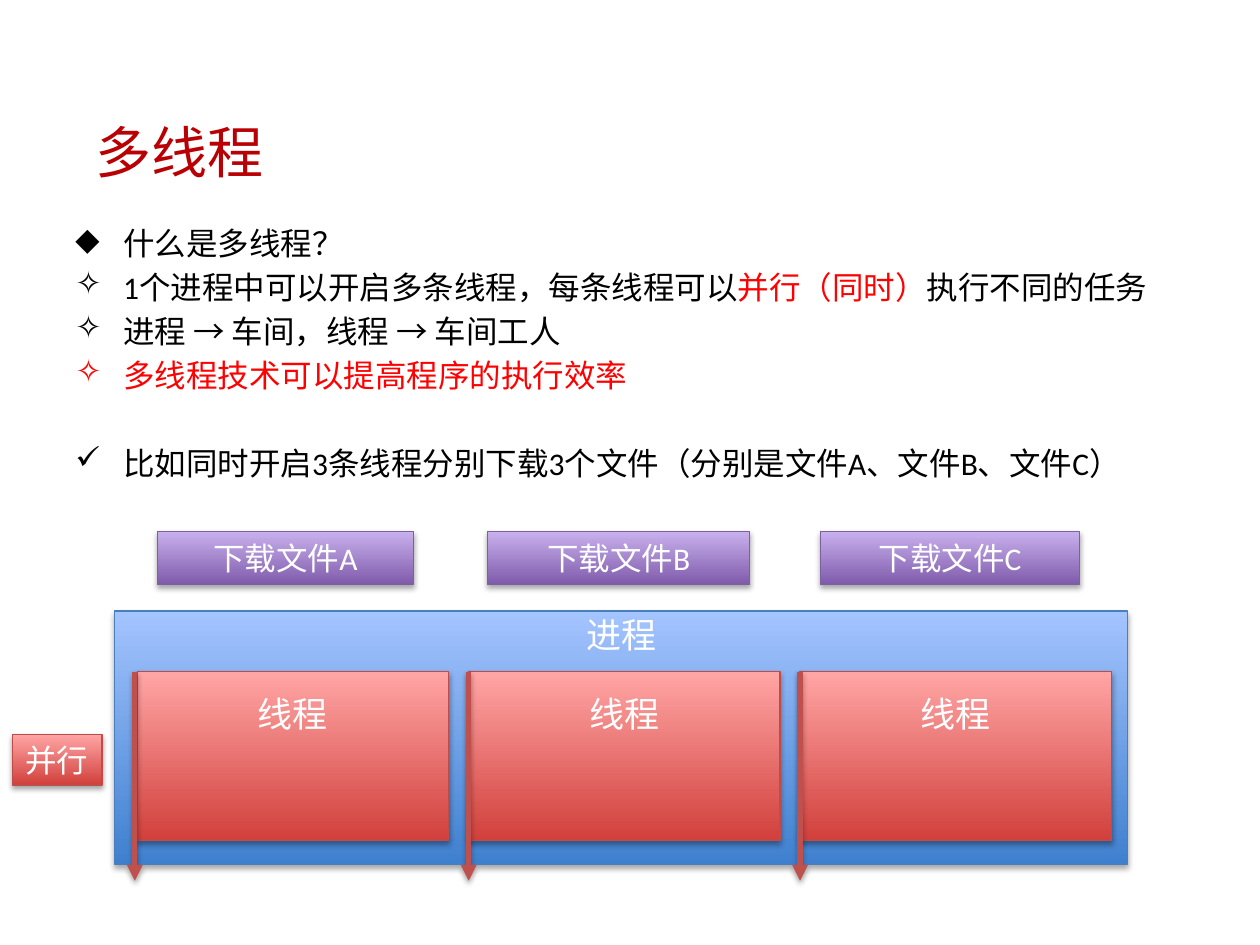
from dataclasses import dataclass

from lxml import etree
from pptx import Presentation
from pptx.dml.color import RGBColor
from pptx.enum.shapes import MSO_CONNECTOR, MSO_SHAPE
from pptx.enum.text import MSO_ANCHOR, MSO_AUTO_SIZE, PP_ALIGN
from pptx.oxml.ns import qn
from pptx.util import Inches, Pt

RECTANGLE = MSO_SHAPE.RECTANGLE
STRAIGHT = MSO_CONNECTOR.STRAIGHT
TOP, MIDDLE = MSO_ANCHOR.TOP, MSO_ANCHOR.MIDDLE
LEFT, CENTER = PP_ALIGN.LEFT, PP_ALIGN.CENTER
FIT_SHAPE = MSO_AUTO_SIZE.SHAPE_TO_FIT_TEXT


@dataclass(frozen=True)
class Theme:
    font: str = "Calibri"
    title_size: int = 32
    block_size: int = 20
    body_size: int = 18
    title: str = "B90004"
    text: str = "000000"
    accent: str = "FF0000"
    light: str = "FFFFFF"
    arrow: str = "C0504D"
    # Block palettes: bottom colour, top colour, outline
    blue: tuple = ("3F80CE", "A4C4FF", "4B7EBC")
    red: tuple = ("D1403C", "FFA6A5", "BF4C48")
    purple: tuple = ("7F5BAB", "C8B0ED", "7D60A0")


THEME = Theme()

# Bullet, space before in points, runs as (text, colour)
BODY = [
    ("◆", 3.5, [("什么是多线程？", THEME.text)]),
    ("✧", 3.5, [("1个进程中可以开启多条线程，每条线程可以", THEME.text),
                ("并行（同时）", THEME.accent),
                ("执行不同的任务", THEME.text)]),
    ("✧", 3.5, [("进程 → 车间，线程 → 车间工人", THEME.text)]),
    ("✧", 3.5, [("多线程技术可以提高程序的执行效率", THEME.accent)]),
    ("✓", 28.6, [("比如同时开启3条线程分别下载3个文件（分别是文件A、文件B、文件C）",
                  THEME.text)]),
]

# File, left and width of its label, left of its arrow
LANES = [("A", 1.25, 2.03, 1.07), ("B", 3.87, 2.08, 3.72), ("C", 6.51, 2.06, 6.35)]
THREAD_LEFT, THREAD_STEP, THREAD_TOP = 1.09, 2.63, 5.33


def add_run(para, text, size, color):
    span = para.add_run()
    span.text = text
    span.font.name = THEME.font
    span.font.size = Pt(size)
    span.font.color.rgb = RGBColor.from_string(color)


def add_shadow(properties):
    """Put a soft downward shadow on shape properties that have their line set."""
    effects = properties.find(qn("a:effectLst"))
    if effects is None:
        effects = etree.SubElement(properties, qn("a:effectLst"))
    shadow = etree.SubElement(effects, qn("a:outerShdw"), blurRad=str(Pt(3.1)),
                              dist=str(Pt(1.8)), dir="5400000", rotWithShape="0")
    color = etree.SubElement(shadow, qn("a:srgbClr"), val="000000")
    etree.SubElement(color, qn("a:alpha"), val="35000")


def add_title(page, text):
    box = page.shapes.add_textbox(Inches(0.66), Inches(0.88), Inches(1.55), Inches(0.64))
    box.text_frame.word_wrap = False
    box.text_frame.auto_size = FIT_SHAPE
    add_run(box.text_frame.paragraphs[0], text, THEME.title_size, THEME.title)


def set_bullet(para, symbol):
    properties = para._p.get_or_add_pPr()
    properties.set("marL", str(Inches(0.38)))
    properties.set("indent", str(Inches(-0.38)))
    etree.SubElement(properties, qn("a:buChar"), char=symbol)


def add_body(page, items):
    box = page.shapes.add_textbox(Inches(0.5), Inches(1.73), Inches(9), Inches(5.09))
    frame = box.text_frame
    frame.word_wrap = True
    for index, (symbol, gap, runs) in enumerate(items):
        para = frame.add_paragraph() if index else frame.paragraphs[0]
        para.space_before = Pt(gap)
        set_bullet(para, symbol)
        for text, color in runs:
            add_run(para, text, THEME.body_size, color)


def add_block(page, text, left, top, width, height, palette,
              size=THEME.body_size, text_top=None, align=CENTER):
    """Add a shaded block; text_top pins the text that far below its top edge."""
    bottom_color, top_color, outline = map(RGBColor.from_string, palette)
    block = page.shapes.add_shape(RECTANGLE, Inches(left), Inches(top),
                                  Inches(width), Inches(height))
    block.fill.gradient()
    block.fill.gradient_angle = 90
    for stop, color in zip(block.fill.gradient_stops, (bottom_color, top_color)):
        stop.color.rgb = color
    block.line.color.rgb = outline
    block.line.width = Pt(0.75)
    block.shadow.inherit = False
    add_shadow(block._element.spPr)

    frame = block.text_frame
    frame.word_wrap = True
    frame.vertical_anchor = MIDDLE
    if text_top is not None:
        frame.vertical_anchor = TOP
        frame.margin_top = Inches(text_top)
    para = frame.paragraphs[0]
    para.alignment = align
    add_run(para, text, size, THEME.light)
    return block


def add_down_arrow(page, left, top, bottom):
    arrow = page.shapes.add_connector(STRAIGHT, Inches(left), Inches(top),
                                      Inches(left), Inches(bottom))
    arrow.line.color.rgb = RGBColor.from_string(THEME.arrow)
    arrow.line.width = Pt(3)
    properties = arrow._element.spPr
    etree.SubElement(properties.find(qn("a:ln")), qn("a:tailEnd"), type="triangle")
    add_shadow(properties)


def add_diagram(page):
    add_block(page, "进程", 0.91, 4.85, 8.04, 2.01, THEME.blue, THEME.block_size, 0.02)
    for index in range(len(LANES)):
        add_block(page, "线程", THREAD_LEFT + index * THREAD_STEP, THREAD_TOP,
                  2.47, 1.34, THEME.red, THEME.block_size, 0.17)
    for name, left, width, _ in LANES:
        add_block(page, f"下载文件{name}", left, 4.22, width, 0.42, THEME.purple)
    for *_, arrow_left in LANES:
        add_down_arrow(page, arrow_left, THREAD_TOP, 6.99)
    label = add_block(page, "并行", 0.1, 5.83, 0.71, 0.4, THEME.red,
                      text_top=0.05, align=LEFT)
    label.text_frame.word_wrap = False
    label.text_frame.auto_size = FIT_SHAPE


def main():
    deck = Presentation()
    deck.slide_width, deck.slide_height = Inches(10), Inches(7.5)
    page = deck.slides.add_slide(deck.slide_layouts[6])
    add_title(page, "多线程")
    add_body(page, BODY)
    add_diagram(page)
    deck.save("out.pptx")


if __name__ == "__main__":
    main()
